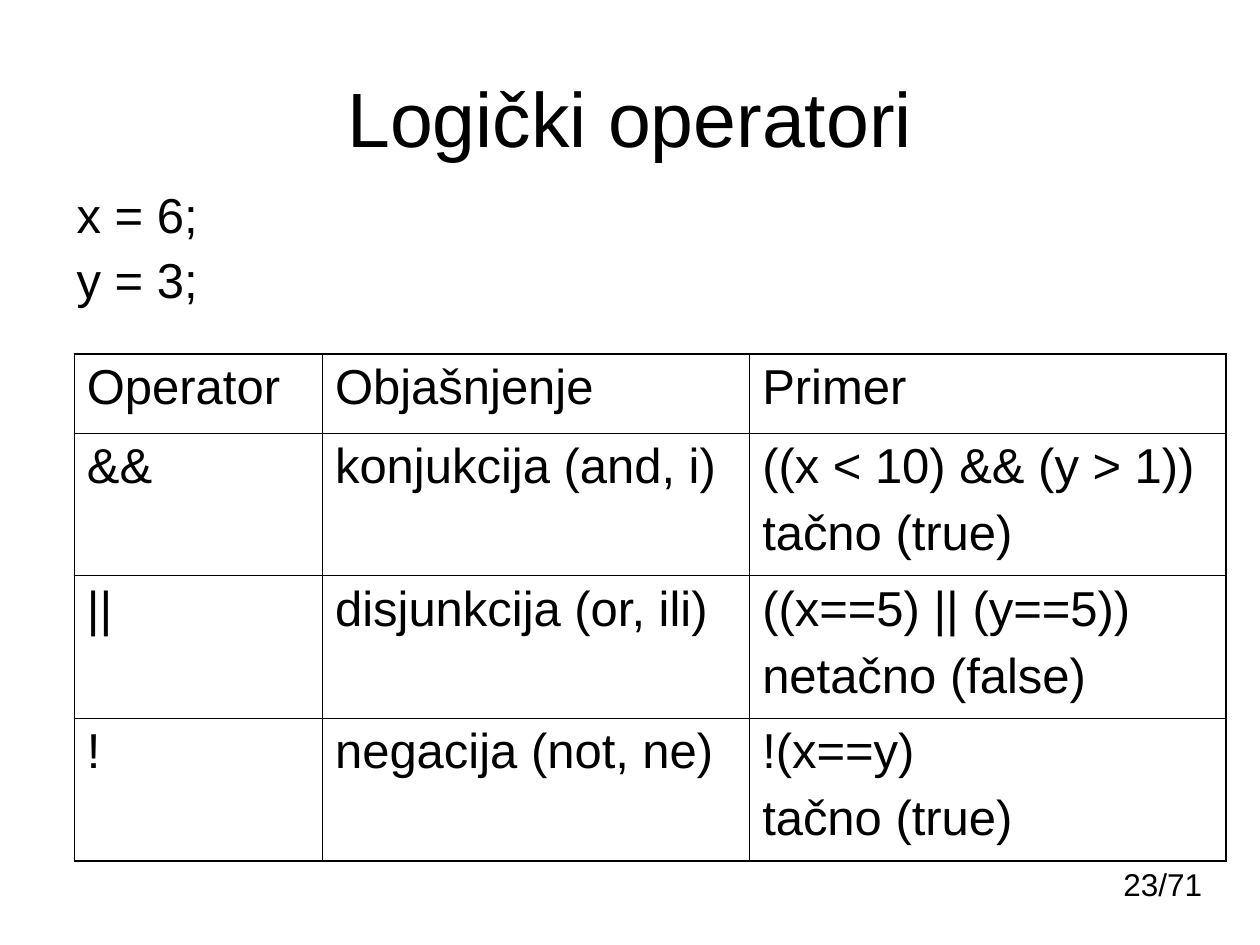
"""Build the slide on logical operators with its table of examples."""
from lxml import etree
from pptx import Presentation
from pptx import util as u
from pptx.dml.color import RGBColor
from pptx.enum import text
from pptx.oxml import ns

Pt = u.Pt
BLACK = RGBColor(0, 0, 0)
WHITE = RGBColor(255, 255, 255)
THIN, THICK = 0.45, 1.08


def write(frame, lines, size, **form):
    for i, line in enumerate(lines):
        para = frame.paragraphs[0] if i == 0 else frame.add_paragraph()
        run = para.add_run()
        run.text = line
        for key, val in form.items():
            setattr(para, key, val)
        if i:
            para.space_before = Pt(7)
        look = {"name": "Arial", "size": Pt(size), "bold": False}
        for key, val in look.items():
            setattr(run.font, key, val)
        run.font.color.rgb = BLACK


def edge(cell, side, width):
    props = cell._tc.get_or_add_tcPr()
    line = etree.SubElement(props, ns.qn("a:ln" + side), w=str(Pt(width)))
    fill = etree.SubElement(line, ns.qn("a:solidFill"))
    etree.SubElement(fill, ns.qn("a:srgbClr"), val=str(BLACK))


deck = Presentation()
deck.slide_width, deck.slide_height = Pt(720), Pt(540)
slide = deck.slides.add_slide(deck.slide_layouts[6])
slide.background.fill.solid()
slide.background.fill.fore_color.rgb = WHITE

right, center = text.PP_ALIGN.RIGHT, text.PP_ALIGN.CENTER
top, middle = text.MSO_ANCHOR.TOP, text.MSO_ANCHOR.MIDDLE
boxes = [
    ((535.7, 491, 158.4, 28.8), top, ["23/71"], 18, {"alignment": right}),
    ((36, 21.6, 648, 90), middle, ["Logički operatori"], 44,
     {"alignment": center}),
    ((36.7, 105.8, 318.2, 76.3), top, ["x = 6;", "y = 3;"], 28,
     {"line_spacing": 0.9}),
]
for place, anchor, lines, size, form in boxes:
    frame = slide.shapes.add_textbox(*map(Pt, place)).text_frame
    frame.word_wrap = True
    frame.vertical_anchor = anchor
    write(frame, lines, size, **form)

rows = [
    ("Operator", "Objašnjenje", "Primer"),
    ("&&", "konjukcija (and, i)", "((x < 10) && (y > 1))\ntačno (true)"),
    ("||", "disjunkcija (or, ili)", "((x==5) || (y==5))\nnetačno (false)"),
    ("!", "negacija (not, ne)", "!(x==y)\ntačno (true)"),
]
wide = [141.8, 244.1, 272.2]
high = [45.4] + [81.4] * 3
table = slide.shapes.add_table(len(rows), len(wide), Pt(42.5), Pt(202.1),
                               Pt(sum(wide)), Pt(sum(high))).table
table.first_row = table.horz_banding = False
for col, width in zip(table.columns, wide):
    col.width = Pt(width)
for row, height in zip(table.rows, high):
    row.height = Pt(height)

for r, row in enumerate(rows):
    for c, words in enumerate(row):
        cell = table.cell(r, c)
        write(cell.text_frame, words.split("\n"), 28)
        outer = {"L": c == 0, "R": c == len(wide) - 1,
                 "T": r == 0, "B": r == len(rows) - 1}
        for side, rim in outer.items():
            edge(cell, side, THICK if rim else THIN)
        cell.fill.background()

deck.save("out.pptx")
